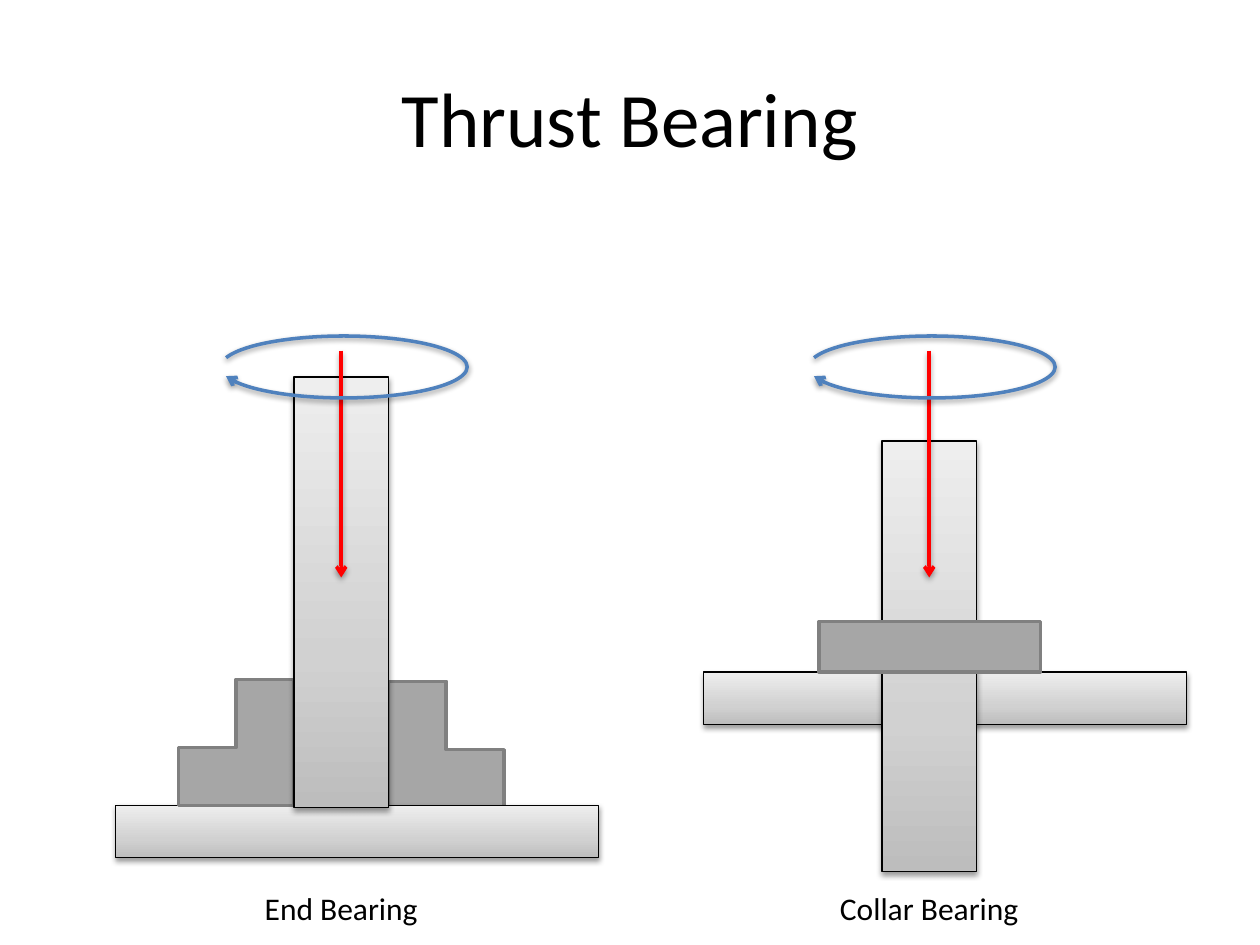
from copy import deepcopy
from dataclasses import dataclass

from lxml.etree import SubElement
from pptx import Presentation
from pptx.dml.color import RGBColor
from pptx.enum.shapes import MSO_CONNECTOR, MSO_SHAPE
from pptx.enum.text import MSO_ANCHOR, MSO_AUTO_SIZE, PP_ALIGN
from pptx.oxml.ns import qn
from pptx.util import Inches, Pt

COLUMNS, ROWS = 120, 90  # square grid, twelve units to the inch
PANEL_COLUMNS, PANEL_ROWS = 48, 57
SHAFT_COLUMN, SHAFT_COLUMNS, SHAFT_ROWS = 19.5, 9, 41
METAL = [("BDBDBD", 0), ("D1D1D1", 0.35), ("EEEEEE", 1)]


def units(count):
    return Inches(count / 12)


def color(hex_text):
    return RGBColor.from_string(hex_text)


@dataclass
class Box:
    left: float
    top: float
    width: float
    height: float

    def inner(self, left, top, width, height):
        """Return a box whose offset is measured from this box's corner."""
        return Box(self.left + left, self.top + top, width, height)

    def lengths(self):
        return [units(side) for side in (self.left, self.top, self.width, self.height)]


def set_line(item, hex_text, points):
    item.line.color.rgb = color(hex_text)
    item.line.width = Pt(points)


def set_shadow(item, visible=True):
    """Replace the theme shadow by a soft one below, or by none."""
    effects = SubElement(item.element.spPr, qn("a:effectLst"))
    if visible:
        shadow = SubElement(effects, qn("a:outerShdw"), blurRad="40000", dist="20000",
                            dir="5400000", rotWithShape="0")
        tone = SubElement(shadow, qn("a:srgbClr"), val="000000")
        SubElement(tone, qn("a:alpha"), val="38000")


def add_arrowhead(item, end):
    SubElement(item.element.spPr.find(qn("a:ln")), qn(f"a:{end}"), type="arrow")


def flip(shape):
    shape.element.spPr.find(qn("a:xfrm")).set("flipH", "1")


def format_text(frame, text, points):
    frame.text = text
    para = frame.paragraphs[0]
    para.alignment = PP_ALIGN.CENTER
    para.font.size = Pt(points)
    para.font.name = "Calibri"
    para.font.color.rgb = color("000000")


def add_metal_bar(page, box):
    bar = page.shapes.add_shape(MSO_SHAPE.RECTANGLE, *box.lengths())
    bar.fill.gradient()
    bar.fill.gradient_angle = 90
    stop_list = bar.element.spPr.find(".//" + qn("a:gsLst"))
    stop_list.append(deepcopy(stop_list[-1]))
    for stop, (hex_text, position) in zip(bar.fill.gradient_stops, METAL):
        stop.color.rgb = color(hex_text)
        stop.position = position
    set_line(bar, "000000", 0.75)
    set_shadow(bar)


def add_support(page, kind, box, mirrored=False):
    support = page.shapes.add_shape(kind, *box.lengths())
    support.fill.solid()
    support.fill.fore_color.rgb = color("A6A6A6")
    set_line(support, "808080", 2)
    set_shadow(support, visible=False)
    if mirrored:
        flip(support)


def add_caption(page, box, text):
    caption = page.shapes.add_textbox(*box.lengths())
    caption.text_frame.word_wrap = True
    caption.text_frame.auto_size = MSO_AUTO_SIZE.SHAPE_TO_FIT_TEXT
    format_text(caption.text_frame, text, 18)


def add_motion(page, panel):
    """Draw the thrust arrow down the shaft and the rotation arrow around it."""
    middle = units(panel.left + panel.width / 2)
    thrust = page.shapes.add_connector(
        MSO_CONNECTOR.STRAIGHT, middle, units(panel.top + 1.4), middle, units(panel.top + 23))
    set_line(thrust, "FF0000", 2)
    add_arrowhead(thrust, "tailEnd")
    set_shadow(thrust)

    rotation = page.shapes.add_shape(MSO_SHAPE.ARC, *panel.inner(12.5, 0, 23.5, 5.9).lengths())
    rotation.adjustments[0] = 2.665
    rotation.adjustments[1] = 213.298
    rotation.fill.background()
    set_line(rotation, "4F81BD", 2)
    add_arrowhead(rotation, "headEnd")
    set_shadow(rotation)
    flip(rotation)


def add_shaft(page, panel, top, caption):
    add_metal_bar(page, panel.inner(SHAFT_COLUMN, top, SHAFT_COLUMNS, SHAFT_ROWS))
    add_caption(page, panel.inner(0, 52.1, panel.width, 4.8), caption)
    add_motion(page, panel)


def add_plate(page, panel, top):
    add_metal_bar(page, panel.inner(2.5, top, 46, 5))


def add_end_bearing(page, panel):
    add_support(page, MSO_SHAPE.CORNER, panel.inner(28.5, 32.9, 11, 12))
    add_plate(page, panel, 44.7)
    add_support(page, MSO_SHAPE.CORNER, panel.inner(8.5, 32.7, 11, 12), mirrored=True)
    add_shaft(page, panel, 3.9, "End Bearing")


def add_collar_bearing(page, panel):
    add_plate(page, panel, 32)
    add_shaft(page, panel, 10, "Collar Bearing")
    add_support(page, MSO_SHAPE.RECTANGLE, panel.inner(13.5, 27.2, 21.1, 4.8))


def add_title(page, box, text):
    title = page.shapes.title
    title.left, title.top, title.width, title.height = box.lengths()
    title.text_frame.vertical_anchor = MSO_ANCHOR.MIDDLE
    format_text(title.text_frame, text, 44)


def main():
    deck = Presentation()
    deck.slide_width, deck.slide_height = units(COLUMNS), units(ROWS)
    page = deck.slides.add_slide(deck.slide_layouts[5])
    add_title(page, Box(6, 3.6, 108, 15), "Thrust Bearing")
    add_end_bearing(page, Box(8.5, 32, PANEL_COLUMNS, PANEL_ROWS))
    add_collar_bearing(page, Box(64.5, 32, PANEL_COLUMNS, PANEL_ROWS))
    deck.save("out.pptx")


if __name__ == "__main__":
    main()
